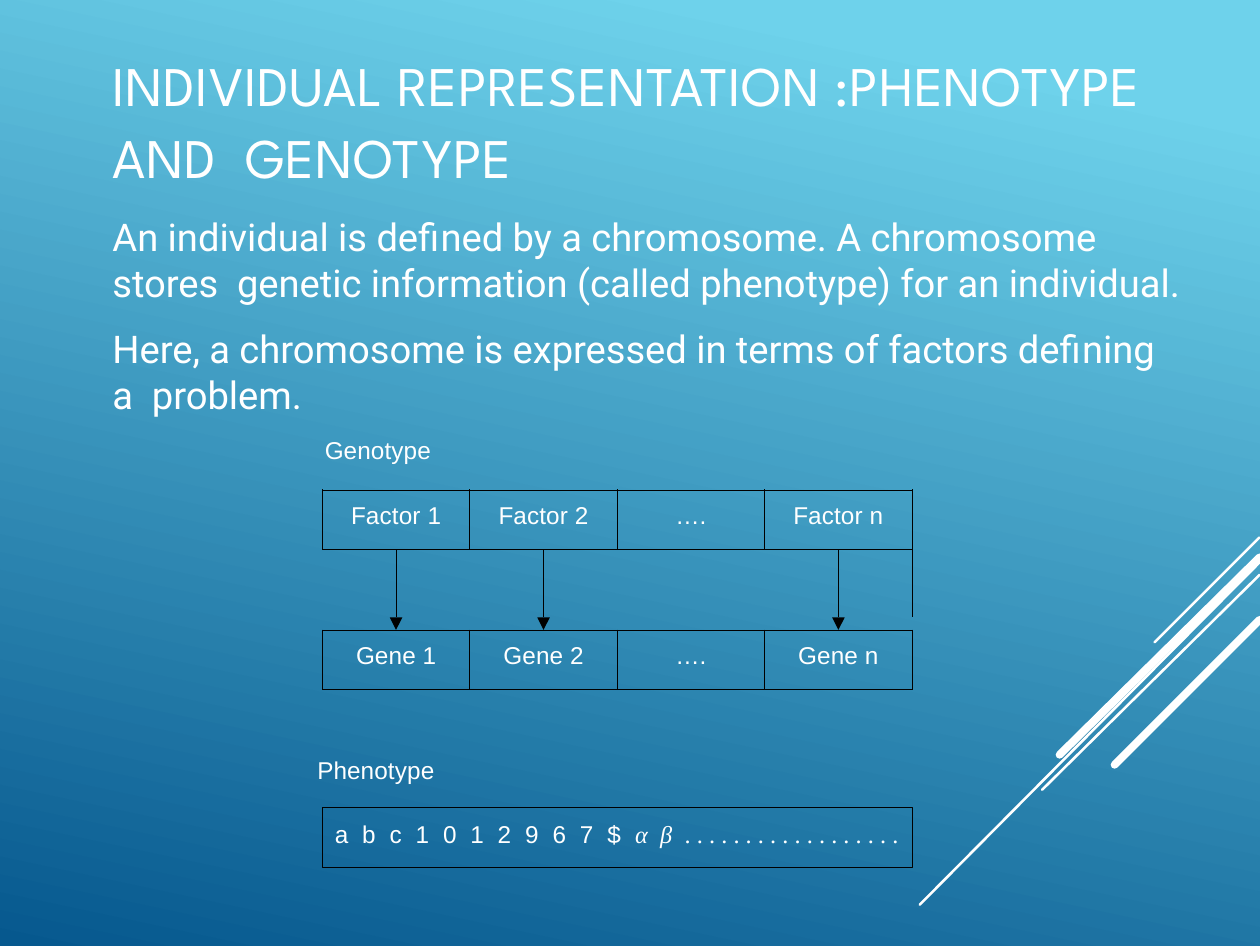
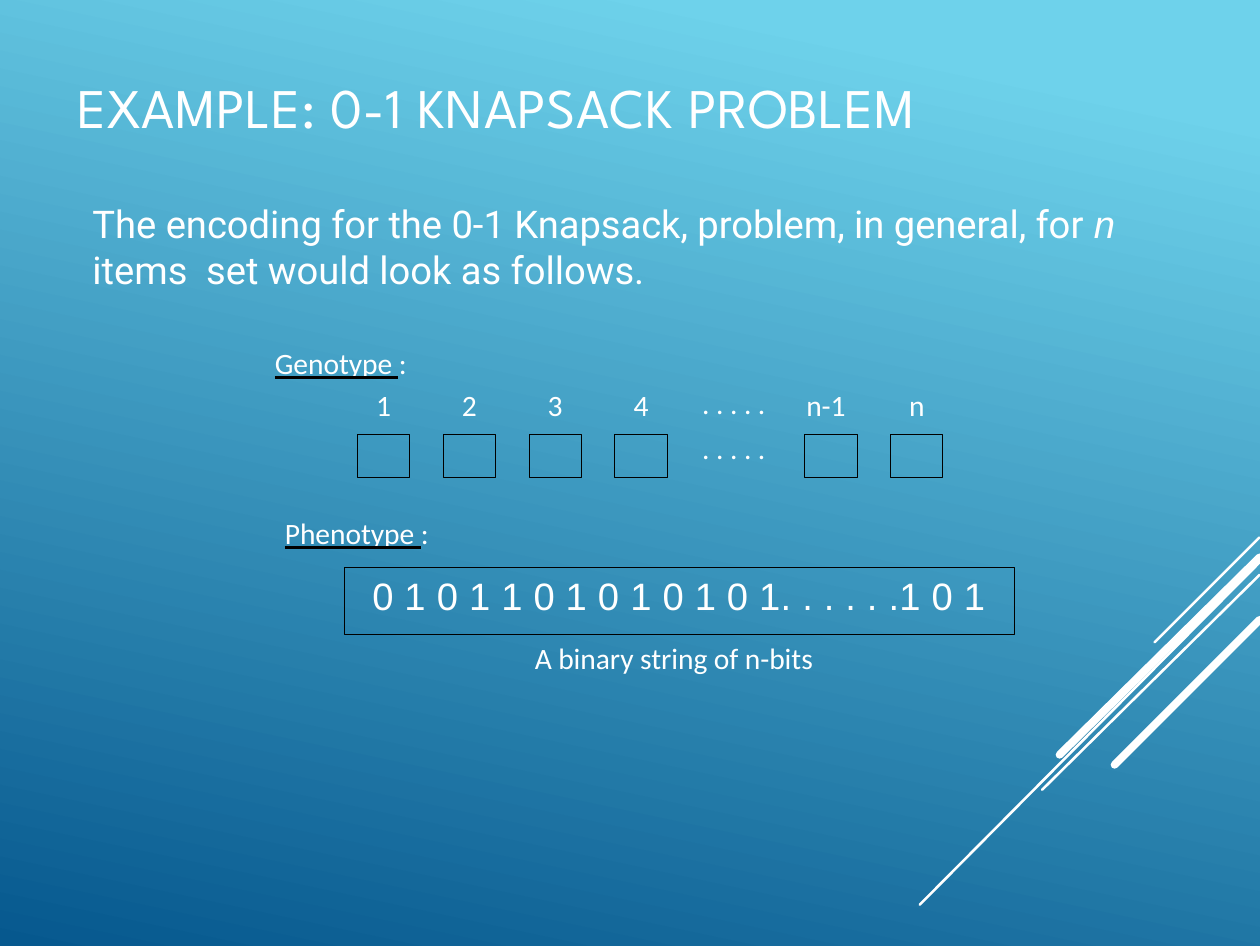
from dataclasses import dataclass, replace
from typing import Any, NamedTuple

from pptx import Presentation
from pptx import util as u
from pptx.dml.color import RGBColor
from pptx.enum import shapes, text
from pptx.oxml import ns, xmlchemy

COLORS = {"text": "FFFFFF", "line": "000000", "sky": "6ED2EB", "sea": "06588E"}
HAIRLINE = 0.25
PLAIN_TABLE = "{2D5ABB26-0587-4C30-8999-92F81FD0307C}"


@dataclass(frozen=True)
class Style:
    font: str
    size: float
    spacing: float = 0
    italic: bool = False
    underline: bool = False


TITLE = Style("League Spartan", 16.1, 0.18)
BODY = Style("Roboto", 11, -0.03)
DIAGRAM = Style("Arial", 7, 0.07)
GREEK = Style("Times New Roman", 7, 0.9, italic=True)
BITS = Style("Arial", 11, 0.05)
CAPTION = Style("Calibri", 8.5, -0.03)
HEADING = replace(CAPTION, underline=True)


class Box(NamedTuple):
    left: float
    top: float
    width: float
    height: float


class Run(NamedTuple):
    text: str
    style: Style


@dataclass(frozen=True)
class Para:
    runs: tuple[Run, ...]
    before: float = 0
    spacing: float = 1
    left: float = 0
    right: float = 0
    centered: bool = False


class Cell(NamedTuple):
    row: int
    first: int
    last: int
    sides: str = "LRTB"
    entry: str = ""


class Streak(NamedTuple):
    top: float
    left: float
    bottom: float
    weight: float


STREAKS = (
    Streak(2.15, 4.62, 2.57, 0.75),
    Streak(2.25, 3.68, 3.62, 0.75),
    Streak(2.3, 4.17, 3.16, 0.75),
    Streak(2.23, 4.24, 3.02, 2.25),
    Streak(2.48, 4.46, 3.06, 2.25),
)


def line_of(content: str, style: Style, **options: Any) -> Para:
    return Para((Run(content, style),), **options)


def heading_of(name: str, **options: Any) -> Para:
    return Para((Run(f"{name} ", HEADING), Run(":", CAPTION)), **options)


def rgb(name: str) -> RGBColor:
    return RGBColor.from_string(COLORS[name])


def apply(target: Any, formats: dict[str, Any]) -> None:
    for name, value in formats.items():
        setattr(target, name, value)


def add_xml(parent: Any, tag: str, **attributes: str) -> Any:
    element = xmlchemy.OxmlElement(tag)
    for name, value in attributes.items():
        element.set(name, value)
    parent.append(element)
    return element


def add_solid(parent: Any, color: str) -> None:
    add_xml(add_xml(parent, "a:solidFill"), "a:srgbClr", val=COLORS[color])


def inches(lengths: Any) -> list[int]:
    return [u.Inches(length) for length in lengths]


# Text

def write_run(paragraph: Any, part: Run) -> None:
    run = paragraph.add_run()
    run.text = part.text
    style = part.style
    apply(run.font, {"name": style.font, "size": u.Pt(style.size), "bold": False,
                     "italic": style.italic, "underline": style.underline})
    run.font.color.rgb = rgb("text")
    properties = run._r.get_or_add_rPr()
    properties.set("spc", str(round(style.spacing * 100)))
    if style.underline:
        underline = xmlchemy.OxmlElement("a:uFill")
        add_solid(underline, "line")
        properties.find(ns.qn("a:latin")).addprevious(underline)


def write_paras(frame: Any, paras: list[Para]) -> None:
    for index, para in enumerate(paras):
        paragraph = frame.add_paragraph() if index else frame.paragraphs[0]
        align = text.PP_ALIGN.CENTER if para.centered else text.PP_ALIGN.LEFT
        apply(paragraph, {"alignment": align, "line_spacing": para.spacing,
                          "space_before": u.Pt(para.before),
                          "space_after": u.Pt(0)})
        properties = paragraph._p.get_or_add_pPr()
        for name, length in {"marL": para.left, "marR": para.right,
                             "indent": 0}.items():
            properties.set(name, str(u.Inches(length)))
        add_xml(properties, "a:buNone")
        for part in para.runs:
            write_run(paragraph, part)


def write(frame: Any, paras: list[Para], inset: float = 0, left: float = 0,
          anchor: Any = text.MSO_ANCHOR.TOP) -> None:
    apply(frame, {"word_wrap": True, "auto_size": text.MSO_AUTO_SIZE.NONE,
                  "vertical_anchor": anchor, "margin_left": u.Inches(left),
                  "margin_top": u.Inches(inset), "margin_right": 0,
                  "margin_bottom": 0})
    write_paras(frame, paras)


def add_label(slide: Any, box: Box, *paras: Para, inset: float = 0.01) -> None:
    label = slide.shapes.add_textbox(*inches(box))
    write(label.text_frame, list(paras), inset)


# Shapes

def add_frame(slide: Any, box: Box) -> Any:
    frame = slide.shapes.add_shape(shapes.MSO_SHAPE.RECTANGLE, *inches(box))
    frame.shadow.inherit = False
    frame.fill.background()
    frame.line.color.rgb = rgb("line")
    frame.line.width = u.Pt(HAIRLINE)
    return frame


def add_arrowhead(slide: Any, x: float, top: float, size: float) -> None:
    left, right, middle, upper, tip = inches(
        (x - size / 2, x + size / 2, x, top, top + size))
    outline = slide.shapes.build_freeform(right, upper)
    outline.add_line_segments([(left, upper), (middle, tip)])
    head = outline.convert_to_shape()
    head.shadow.inherit = False
    head.fill.solid()
    head.fill.fore_color.rgb = rgb("line")
    head.line.fill.background()


def format_cell(cell: Any, sides: str) -> None:
    properties = cell._tc.get_or_add_tcPr()
    for side in sides:
        border = add_xml(properties, f"a:ln{side}", w=str(u.Pt(HAIRLINE)))
        add_solid(border, "line")
    cell.fill.background()
    apply(cell, {"margin_left": 0, "margin_top": u.Inches(0.05),
                 "margin_right": 0, "margin_bottom": 0})


def add_grid(slide: Any, box: Box, widths: list[float], heights: list[float],
             cells: list[Cell]) -> None:
    grid = slide.shapes.add_table(len(heights), len(widths), *inches(box)).table
    grid.first_row = grid.horz_banding = False
    grid._tbl.tblPr.find(ns.qn("a:tableStyleId")).text = PLAIN_TABLE
    for column, width in zip(grid.columns, inches(widths)):
        column.width = width
    for row, height in zip(grid.rows, inches(heights)):
        row.height = height
    for part in cells:
        origin = grid.cell(part.row, part.first)
        if part.last > part.first:
            origin.merge(grid.cell(part.row, part.last))
        format_cell(origin, part.sides)
        for column in range(part.first + 1, part.last + 1):
            format_cell(grid.cell(part.row, column), part.sides.strip("LR"))
        if part.entry:
            write_paras(origin.text_frame,
                        [line_of(part.entry, DIAGRAM, centered=True)])
    for cell in grid.iter_cells():
        if not cell.text:
            add_xml(cell.text_frame.paragraphs[0]._p, "a:endParaRPr", sz="700")


# Shared slide frame

def set_background(prs: Any) -> None:
    fill = prs.slide_master.background.fill
    fill.gradient()
    fill.gradient_angle = 360 - 102
    for stop, (position, color) in zip(fill.gradient_stops,
                                       ((0.1, "sky"), (1, "sea"))):
        stop.position = position
        stop.color.rgb = rgb(color)


def add_slide(prs: Any, title: str, title_box: Box,
              body: list[Para], body_box: Box) -> Any:
    slide = prs.slides.add_slide(prs.slide_layouts[1])
    for streak in STREAKS:
        line = slide.shapes.add_connector(
            shapes.MSO_CONNECTOR.STRAIGHT,
            *inches((5.04, streak.top, streak.left, streak.bottom)))
        line.line.color.rgb = rgb("text")
        line.line.width = u.Pt(streak.weight)
        add_xml(line._element.spPr, "a:effectLst")
        line._element.spPr.find(ns.qn("a:ln")).set("cap", "rnd")
    heading, content = slide.shapes.title, slide.placeholders[1]
    for holder, box in ((heading, title_box), (content, body_box)):
        holder.left, holder.top, holder.width, holder.height = inches(box)
    write(heading.text_frame, [line_of(title, TITLE, spacing=1.07)],
          anchor=text.MSO_ANCHOR.MIDDLE)
    write(content.text_frame, body, inset=0.01)
    return slide


# Slides

def add_representation(prs: Any) -> None:
    slide = add_slide(
        prs, "INDIVIDUAL REPRESENTATION :PHENOTYPE AND  GENOTYPE",
        Box(0.45, 0.19, 4.4, 0.56),
        [line_of("An individual is defined by a chromosome. A chromosome stores"
                 "  genetic information (called phenotype) for an individual.",
                 BODY, spacing=1.01),
         line_of("Here, a chromosome is expressed in terms of factors defining "
                 "a  problem.", BODY, before=5.7, spacing=1.01, right=0.14)],
        Box(0.45, 0.84, 4.32, 0.85))
    # Factors, with the arrow shafts as borders of the second row
    unit = 2.36 / 8
    spans = ((0, 1), (2, 3), (4, 4), (5, 6))
    labels = ("1", "2", "", "n")
    factors = [Cell(0, *span, entry=f"Factor {label}" if label else "….")
               for span, label in zip(spans, labels)]
    shafts = [Cell(1, 0, 0, "RT"), Cell(1, 1, 2, "LRT"),
              Cell(1, 3, 5, "LRT"), Cell(1, 6, 6, "LT")]
    add_grid(slide, Box(1.29, 1.96, 2.36, 0.51),
             [unit] * 4 + [2 * unit] + [unit] * 2, [0.24, 0.27],
             factors + shafts)
    genes = [Cell(0, i, i, entry=f"Gene {label}" if label else "….")
             for i, label in enumerate(labels)]
    add_grid(slide, Box(1.29, 2.52, 2.36, 0.24), [2 * unit] * 4, [0.24], genes)
    for column in (0, 1, 3):
        add_arrowhead(slide, 1.29 + (2 * column + 1) * unit, 2.47, 0.05)
    for left, top, name in ((1.3, 1.72, "Genotype"), (1.27, 3, "Phenotype")):
        add_label(slide, Box(left, top, 0.6, 0.15), line_of(name, DIAGRAM),
                  inset=0.02)
    phenotype = add_frame(slide, Box(1.29, 3.23, 2.36, 0.24))
    symbols = Para((
        Run("a b c 1 0 1 2 9 6 7 $ ", replace(DIAGRAM, spacing=1.06)),
        Run("α β ", GREEK),
        Run(". . . . . . . . . . . . . . . . . .",
            replace(GREEK, spacing=0.03, italic=False))))
    write(phenotype.text_frame, [symbols], inset=0.05, left=0.05)


def add_knapsack(prs: Any) -> None:
    encoding = Para((
        Run("The encoding for the 0-1 Knapsack, problem, in general, for ", BODY),
        Run("n ", replace(BODY, font="Arial", italic=True)),
        Run("items  set would look as follows.", BODY)), spacing=1.01)
    slide = add_slide(prs, "EXAMPLE: 0-1 KNAPSACK PROBLEM",
                      Box(0.31, 0.27, 4.7, 0.29),
                      [encoding, heading_of("Genotype", before=15, left=0.73)],
                      Box(0.37, 0.79, 4.31, 0.73))
    add_label(slide, Box(1.14, 2.05, 0.8, 0.17), heading_of("Phenotype"))
    # Numbered item boxes
    step = 1.03 / 3
    lefts = [1.43 + step * i for i in range(4)] + [3.22, 3.22 + step]
    for left, number in zip(lefts, ("1", "2", "3", "4", "n-1", "n")):
        add_frame(slide, Box(left, 1.74, 0.21, 0.17))
        shift = 0.02 if number == "n-1" else 0
        add_label(slide, Box(left - shift, 1.54, 0.21, 0.17),
                  line_of(number, CAPTION, centered=True))
    add_label(slide, Box(2.81, 1.49, 0.35, 0.39),
              line_of(". . . . .", CAPTION),
              line_of(". . . . .", CAPTION, before=2.8), inset=0.05)
    # Bit string
    bits = add_frame(slide, Box(1.38, 2.27, 2.68, 0.27))
    write(bits.text_frame,
          [line_of("0 1 0 1 1 0 1 0 1 0 1 0 1. . . . . .1 0 1", BITS)],
          inset=0.02, left=0.11)
    add_label(slide, Box(2.14, 2.55, 1.3, 0.17),
              line_of("A binary string of n-bits", CAPTION))


def main() -> None:
    prs = Presentation()
    prs.slide_width, prs.slide_height = u.Pt(363), u.Pt(272.5)
    set_background(prs)
    add_representation(prs)
    add_knapsack(prs)
    prs.save("out.pptx")


if __name__ == "__main__":
    main()
